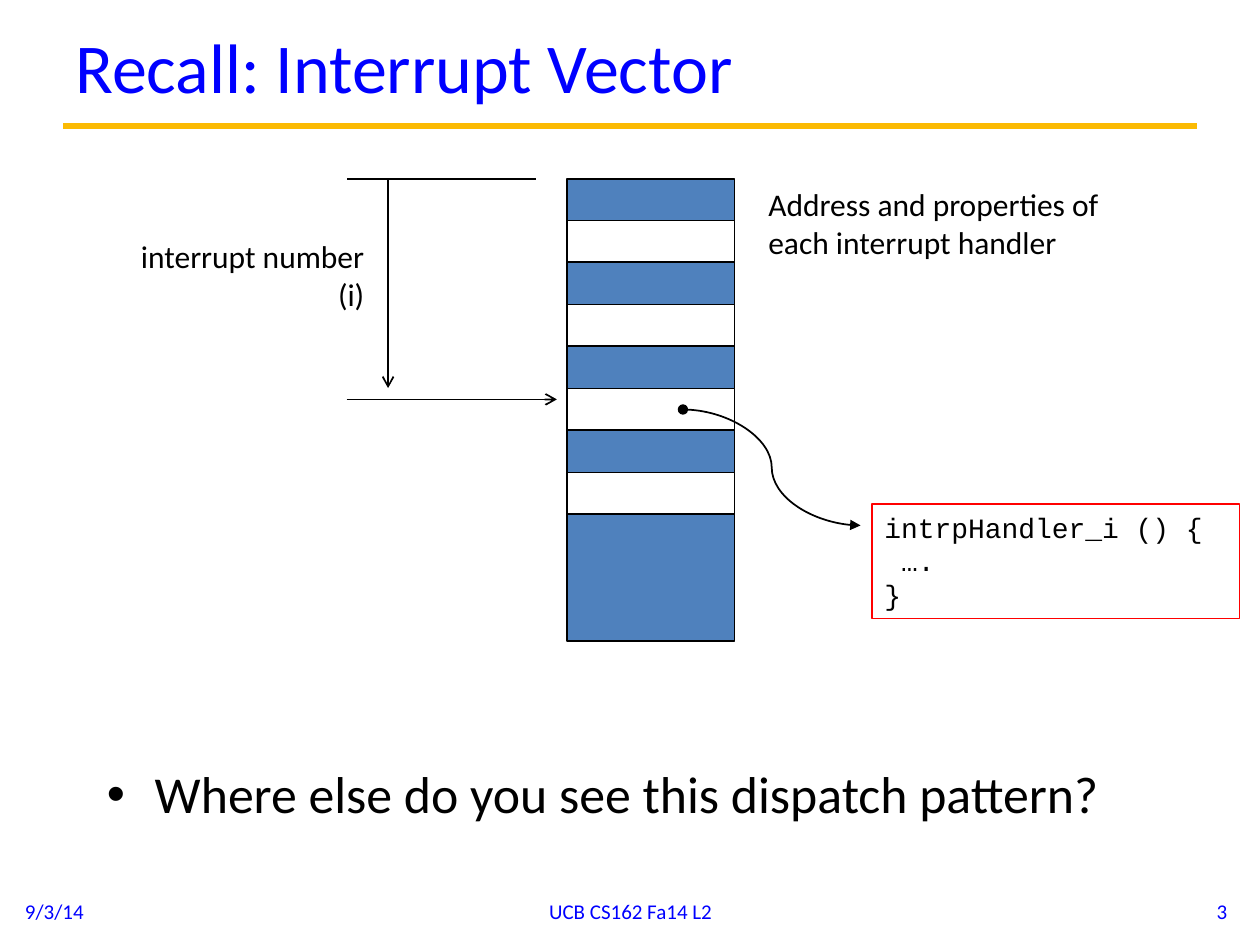
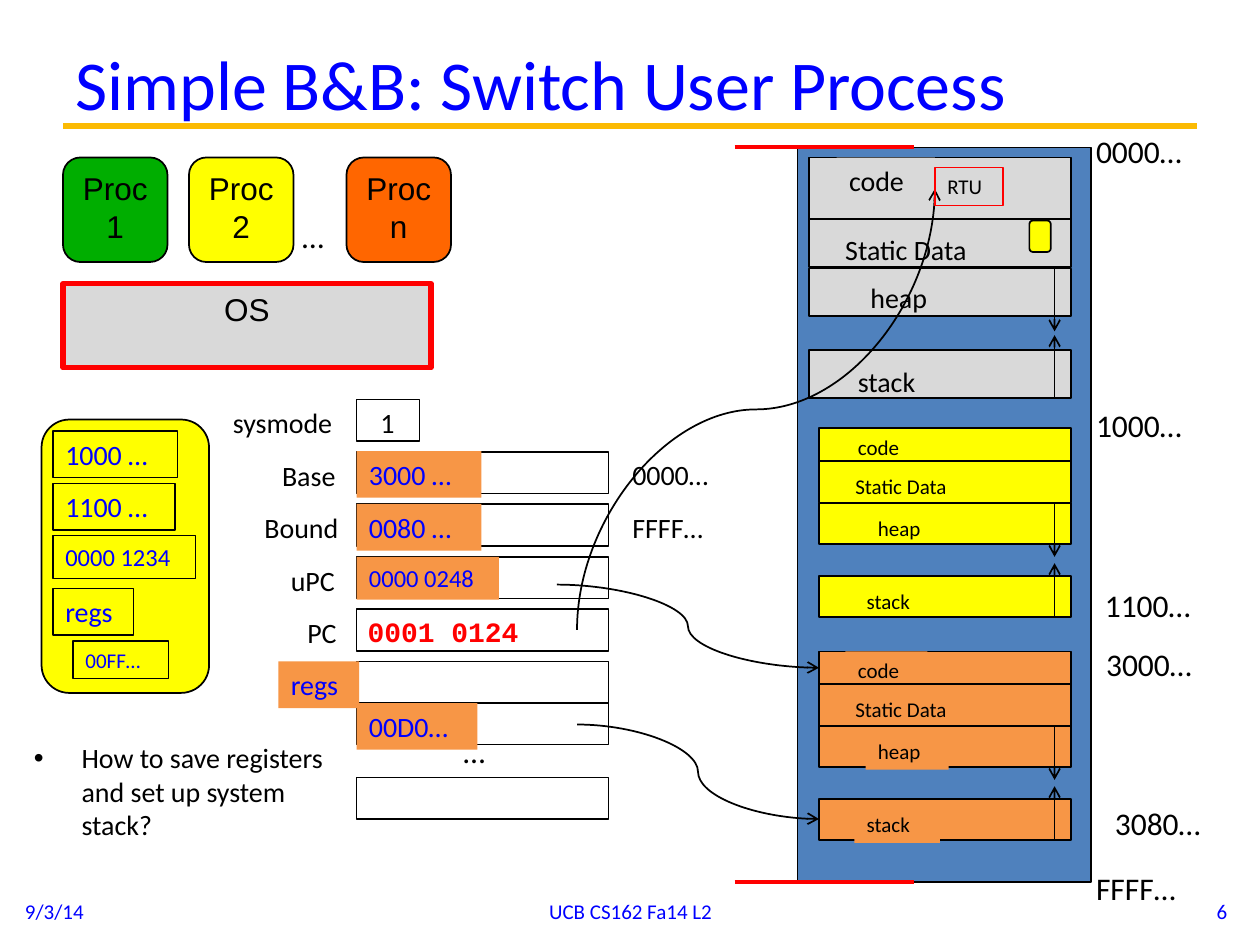
from lxml import etree
from pptx import Presentation
from pptx.dml.color import RGBColor
from pptx.enum.shapes import MSO_CONNECTOR, MSO_SHAPE
from pptx.enum.text import MSO_ANCHOR, PP_ALIGN
from pptx.oxml.ns import qn
from pptx.util import Inches, Pt

BLACK = RGBColor(0x00, 0x00, 0x00)
WHITE = RGBColor(0xFF, 0xFF, 0xFF)
BLUE = RGBColor(0x00, 0x00, 0xFF)
STEEL = RGBColor(0x4F, 0x81, 0xBD)
GOLD = RGBColor(0xFB, 0xBA, 0x03)
RED = RGBColor(0xFF, 0x00, 0x00)
GREY = RGBColor(0xD9, 0xD9, 0xD9)
GREEN = RGBColor(0x00, 0xAE, 0x00)
YELLOW = RGBColor(0xFF, 0xFF, 0x00)
AMBER = RGBColor(0xFF, 0x66, 0x00)
ORANGE = RGBColor(0xF7, 0x96, 0x46)

RECT, ROUND = MSO_SHAPE.RECTANGLE, MSO_SHAPE.ROUNDED_RECTANGLE
STRAIGHT, CURVE = MSO_CONNECTOR.STRAIGHT, MSO_CONNECTOR.CURVE
LEFT, CENTER, RIGHT = PP_ALIGN.LEFT, PP_ALIGN.CENTER, PP_ALIGN.RIGHT
TOP, MIDDLE = MSO_ANCHOR.TOP, MSO_ANCHOR.MIDDLE


def box(shapes, at, text="", kind=RECT, fill=None, line=None, width=1, size=18,
        font="Calibri", color=BLACK, bold=False, align=LEFT, anchor=TOP, bullet=False):
    place = [Inches(v) for v in at]
    if fill is None and line is None:
        shape = shapes.add_textbox(*place)
    else:
        shape = shapes.add_shape(kind, *place)
        shape.shadow.inherit = False
        if fill is None:
            shape.fill.background()
        else:
            shape.fill.solid()
            shape.fill.fore_color.rgb = fill
        if line is None:
            shape.line.fill.background()
        else:
            shape.line.color.rgb = line
            shape.line.width = Pt(width)
    if not text:
        return
    frame = shape.text_frame
    frame.word_wrap = True
    frame.vertical_anchor = anchor
    frame.text = text
    for para in frame.paragraphs:
        para.alignment = align
        if bullet:
            props = para._p.get_or_add_pPr()
            props.set("marL", str(Inches(0.38)))
            props.set("indent", str(-Inches(0.38)))
            etree.SubElement(props, qn("a:buFont")).set("typeface", "Arial")
            etree.SubElement(props, qn("a:buChar")).set("char", "•")
        for run in para.runs:
            run.font.name = font
            run.font.size = Pt(size)
            run.font.bold = bold
            run.font.color.rgb = color


def link(shapes, start, end, kind=STRAIGHT, color=BLACK, width=1, head=None, tail=None, turn=0):
    wire = shapes.add_connector(kind, *[Inches(v) for v in (*start, *end)])
    wire.line.color.rgb = color
    wire.line.width = Pt(width)
    props = wire._element.spPr
    for tag, tip in (("a:headEnd", head), ("a:tailEnd", tail)):
        if tip:
            etree.SubElement(props.find(qn("a:ln")), qn(tag)).set("type", tip)
    if turn:
        props.find(qn("a:xfrm")).set("rot", str(turn * 60000))
    etree.SubElement(props, qn("a:effectLst"))


deck = Presentation()
deck.slide_width = Inches(10)
deck.slide_height = Inches(7.5)

pages = []
for title, at, number in (
    ("Recall: Interrupt Vector", (0.5, 0.04, 9, 0.96), "3"),
    ("Simple B&B: Switch User Process", (0.5, 0.25, 8.67, 0.81), "6"),
):
    page = deck.slides.add_slide(deck.slide_layouts[6]).shapes
    link(page, (0.5, 1), (9.5, 1), color=GOLD, width=3.75)
    box(page, at, title, size=40, color=BLUE, anchor=MIDDLE)
    for left, wide, text, align in (
        (0.1, 2.33, "9/3/14", LEFT),
        (3.42, 3.17, "UCB CS162 Fa14 L2", CENTER),
        (7.51, 2.33, number, RIGHT),
    ):
        box(page, (left, 7.03, wide, 0.4), text, size=12, color=BLUE, align=align, anchor=MIDDLE)
    pages.append(page)
vector, switch = pages

box(vector, (0.75, 6, 8.33, 0.92), "Where else do you see this dispatch pattern?",
    size=29.6, bullet=True)
box(vector, (4.5, 1.42, 1.33, 3.67), fill=STEEL, line=BLACK)
for i in range(4):
    box(vector, (4.5, 1.75 + i * 2 / 3, 1.33, 0.33), fill=WHITE, line=BLACK)
link(vector, (4.25, 1.42), (2.75, 1.42))
link(vector, (3.08, 1.42), (3.08, 3.08), tail="arrow")
box(vector, (0.92, 1.83, 2.07, 0.71), "interrupt number\n(i)", align=RIGHT)
link(vector, (2.75, 3.17), (4.42, 3.17), tail="arrow")
link(vector, (5.42, 3.25), (6.83, 4.17), kind=CURVE, head="oval", tail="triangle")
box(vector, (6.92, 4, 2.92, 0.91), "intrpHandler_i () {\n ….\n}",
    line=RED, width=0.75, size=16, font="Courier New")
box(vector, (6, 1.42, 3, 0.71), "Address and properties of each interrupt handler")

box(switch, (0.33, 3.33, 1.33, 2.17), kind=ROUND, fill=YELLOW, line=BLACK)
box(switch, (0.5, 2.25, 2.92, 0.67), "OS", fill=GREY, line=RED, width=3, font="Arial", align=CENTER)
for left, name, fill in ((0.5, "Proc 1", GREEN), (1.5, "Proc 2", YELLOW), (2.75, "Proc n", AMBER)):
    box(switch, (left, 1.25, 0.83, 0.83), name, kind=ROUND, fill=fill, line=BLACK,
        font="Arial", align=CENTER)
box(switch, (2.3, 1.67, 0.45, 0.4), "…")

box(switch, (6.33, 1.17, 2.33, 5.83), fill=STEEL, line=BLACK)
large = (
    ("code", 0, 0.49, 6.64, 0, 0.78),
    ("Static Data", 0.49, 0.38, 6.61, 0.06, 1.48),
    ("heap", 0.88, 0.38, 6.81, 0.05, 0.8),
    ("stack", 1.53, 0.38, 6.71, 0.06, 0.84),
)
small = (
    ("code", 0, 0.26, 6.71, 0, 0.65),
    ("Static Data", 0.26, 0.33, 6.69, 0.05, 1.17),
    ("heap", 0.59, 0.33, 6.87, 0.05, 0.66),
    ("stack", 1.17, 0.33, 6.78, 0.05, 0.68),
)
for top, left, rows, size, tall, fill, back, reach in (
    (1.25, 6.42, large, 16, 0.29, GREY, GREY, 0.5),
    (3.4, 6.5, small, 12, 0.3, YELLOW, None, 0.43),
    (5.17, 6.5, small, 12, 0.3, ORANGE, ORANGE, 0.43),
):
    group = switch.add_group_shape().shapes
    for name, drop, high, start, inset, wide in rows:
        box(group, (left, top + drop, 8.5 - left, high), fill=fill, line=BLACK)
        box(group, (start, top + drop + inset, wide, tall), name, fill=back, size=size)
    heap = top + rows[2][1]
    base = top + rows[3][1] + rows[3][2]
    link(group, (8.37, base), (8.37, base - reach), tail="arrow")
    link(group, (8.37, heap), (8.37, heap + reach), tail="arrow")

for left, top, text in (
    (8.6, 1, "0000…"), (8.6, 6.85, "FFFF…"), (8.6, 3.17, "1000…"),
    (8.67, 4.6, "1100…"), (8.68, 5.07, "3000…"), (8.75, 6.33, "3080…"),
):
    box(switch, (left, top, 1.05, 0.4), text)
for top in (1.17, 7):
    link(switch, (5.83, top), (7.25, top), color=RED, width=2.25)

STEP = 5 / 12
for i, (name, left, wide) in enumerate((
    ("sysmode", 1.75, 0.5), ("Base", 2.14, 2), ("Bound", 2, 2), ("uPC", 2.21, 2), ("PC", 2.34, 2),
)):
    top = 3.17 + i * STEP
    box(switch, (2.83, top, wide, 0.33), line=BLACK)
    box(switch, (left, top, 2.85 - left, 0.37), name, size=16)
for top in (5.25, 5.58, 6.17):
    box(switch, (2.83, top, 2, 0.33), line=BLACK)
box(switch, (3.58, 5.76, 0.45, 0.4), "…")
for left, top, wide, high, text, size in (
    (2.83, 3.58, 0.99, 0.37, "3000 …", 16),
    (2.83, 4, 0.99, 0.37, "0080 …", 16),
    (2.83, 4.42, 1.13, 0.34, "0000 0248", 14),
    (2.21, 5.25, 0.64, 0.37, "regs", 16),
    (2.83, 5.58, 0.96, 0.37, "00D0…", 16),
):
    box(switch, (left, top, wide, high), text, fill=ORANGE, size=size, color=BLUE)
box(switch, (2.92, 3.17, 0.33, 0.37), "1", size=16)
box(switch, (2.82, 4.83, 1.45, 0.37), "0001 0124", size=16, font="Courier New", color=RED, bold=True)
for top, text in ((3.58, "0000…"), (4, "FFFF…")):
    box(switch, (4.92, top, 0.97, 0.37), text, size=16)

for start, end, turn in (
    ((7.75, 4.67), (4.25, 1.83), 90),
    ((4.58, 5.75), (6.5, 6.5), 0),
    ((4.42, 4.64), (6.5, 5.3), 0),
):
    link(switch, start, end, kind=CURVE, tail="arrow", turn=turn)

box(switch, (0.17, 5.83, 2.5, 1.17), "How to save registers and set up system stack?",
    size=16, bullet=True)
for i, (left, wide, high, text, size) in enumerate((
    (0.42, 0.99, 0.37, "1000 …", 16),
    (0.42, 0.97, 0.37, "1100 …", 16),
    (0.42, 1.13, 0.34, "0000 1234", 14),
    (0.42, 0.64, 0.37, "regs", 16),
    (0.58, 0.76, 0.3, "00FF…", 12),
)):
    box(switch, (left, 3.42 + i * STEP, wide, high), text, fill=YELLOW, line=BLACK,
        width=0.75, size=size, color=BLUE)
box(switch, (7.42, 1.33, 0.54, 0.3), "RTU", line=RED, width=0.75, size=12)
box(switch, (8.17, 1.75, 0.17, 0.25), kind=ROUND, fill=YELLOW, line=BLACK)

deck.save("out.pptx")
